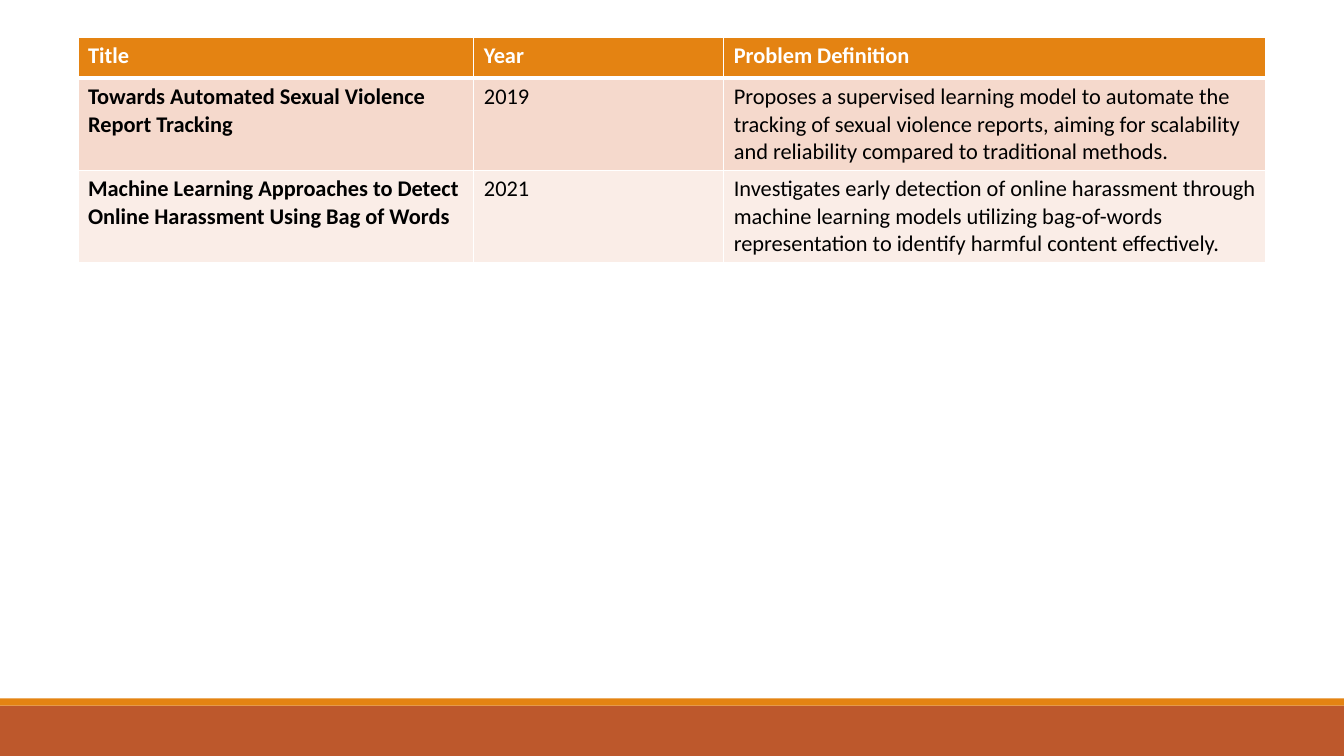
from dataclasses import dataclass

from lxml import etree
from pptx import Presentation
from pptx.dml.color import RGBColor
from pptx.enum.shapes import MSO_SHAPE
from pptx.oxml.ns import qn
from pptx.util import Pt

RECTANGLE = MSO_SHAPE.RECTANGLE
BLANK_LAYOUT = 6
SLIDE_WIDTH, SLIDE_HEIGHT = 960, 540


@dataclass(frozen=True)
class Theme:
    font: str = "Calibri"
    text_size: float = 16
    orange: str = "E48312"
    rust: str = "BD582C"
    odd_row: str = "F5D9CC"
    even_row: str = "FAEDE7"
    white: str = "FFFFFF"
    black: str = "000000"
    rule: float = 1
    header_rule: float = 3


class SlideBuilder:
    def __init__(self, slide, theme):
        self.slide = slide
        self.theme = theme

    def band(self, top, height, color):
        """Draw a full-width stripe without an outline."""
        stripe = self.slide.shapes.add_shape(
            RECTANGLE, 0, Pt(top), Pt(SLIDE_WIDTH), Pt(height))
        stripe.shadow.inherit = False
        stripe.fill.solid()
        stripe.fill.fore_color.rgb = RGBColor.from_string(color)
        stripe.line.fill.background()

    def table(self, left, top, column_widths, row_heights, records):
        """Add a table with a header row, a bold first column and banded rows."""
        theme = self.theme
        grid = self.slide.shapes.add_table(
            len(records), len(column_widths), Pt(left), Pt(top),
            Pt(sum(column_widths)), Pt(sum(row_heights))).table
        for column, width in zip(grid.columns, column_widths):
            column.width = Pt(width)
        for row, height in zip(grid.rows, row_heights):
            row.height = Pt(height)
        for r, record in enumerate(records):
            header = r == 0
            band_color = theme.odd_row if r % 2 else theme.even_row
            for c, text in enumerate(record):
                cell = grid.cell(r, c)
                self.borders(cell,
                             top=theme.header_rule if r == 1 else theme.rule,
                             bottom=theme.header_rule if header else theme.rule)
                cell.fill.solid()
                cell.fill.fore_color.rgb = RGBColor.from_string(
                    theme.orange if header else band_color)
                cell.text = text
                font = cell.text_frame.paragraphs[0].font
                font.name = theme.font
                font.size = Pt(theme.text_size)
                font.bold = header or c == 0
                font.color.rgb = RGBColor.from_string(
                    theme.white if header else theme.black)

    def borders(self, cell, top, bottom):
        """Set cell borders; call before filling, as lines precede the fill."""
        properties = cell._tc.get_or_add_tcPr()
        rule = self.theme.rule
        for side, width in (("L", rule), ("R", rule), ("T", top), ("B", bottom)):
            line = etree.SubElement(properties, qn(f"a:ln{side}"), w=str(Pt(width)))
            fill = etree.SubElement(line, qn("a:solidFill"))
            etree.SubElement(fill, qn("a:srgbClr"), val=self.theme.white)


def main():
    presentation = Presentation()
    presentation.slide_width = Pt(SLIDE_WIDTH)
    presentation.slide_height = Pt(SLIDE_HEIGHT)
    theme = Theme()
    slide = presentation.slides.add_slide(presentation.slide_layouts[BLANK_LAYOUT])
    builder = SlideBuilder(slide, theme)

    builder.band(top=504, height=36, color=theme.rust)
    builder.band(top=498.75, height=5.25, color=theme.orange)

    papers = [
        ("Title", "Year", "Problem Definition"),
        ("Towards Automated Sexual Violence Report Tracking", "2019",
         "Proposes a supervised learning model to automate the tracking of sexual "
         "violence reports, aiming for scalability and reliability compared to "
         "traditional methods."),
        ("Machine Learning Approaches to Detect Online Harassment Using Bag of Words",
         "2021",
         "Investigates early detection of online harassment through machine learning "
         "models utilizing bag-of-words representation to identify harmful content "
         "effectively."),
    ]
    builder.table(left=55.75, top=26.75, column_widths=(282.75, 178.5, 387.25),
                  row_heights=(29.2, 65.5, 65.5), records=papers)

    presentation.save("out.pptx")


if __name__ == "__main__":
    main()
